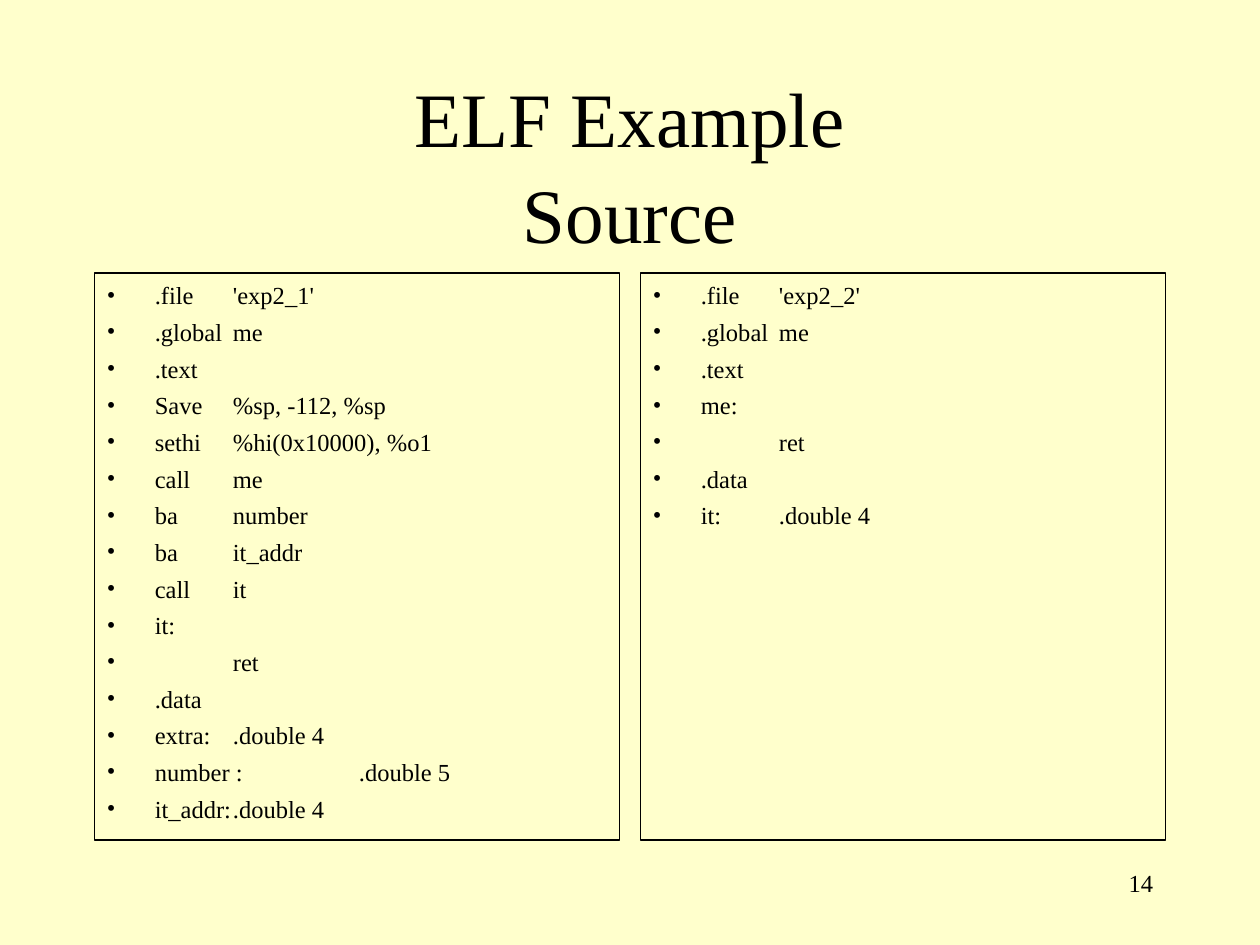
from lxml import etree
from pptx import Presentation
from pptx import util as u
from pptx.dml.color import RGBColor
from pptx.enum import shapes, text
from pptx.oxml.ns import qn

COLORS = {"background": "FFFFCC", "ink": "000000"}
FONT = "Times New Roman"
CELL = u.Inches(1) // 12  # the slide is a grid of 120 columns by 90 rows
MARGIN, COLUMN, GUTTER = 9, 50, 2
LINE_SPACING = 1.04

LISTINGS = [
    [".file\t'exp2_1'", ".global\tme", ".text", "Save\t%sp, -112, %sp",
     "sethi\t%hi(0x10000), %o1", "call\tme", "ba\tnumber", "ba\tit_addr",
     "call\tit", "it:", "\tret", ".data", "extra:\t.double 4",
     "number :\t.double 5", "it_addr:\t.double 4"],
    [".file\t'exp2_2'", ".global\tme", ".text", "me:", "\tret", ".data",
     "it:\t.double 4"],
]


def rgb(name):
    return RGBColor.from_string(COLORS[name])


def on_grid(box):
    return [CELL * n for n in box]


def style(p, size, align):
    p.alignment = align
    for r in p.runs:
        r.font.size = u.Pt(size)
        r.font.name = FONT
        r.font.color.rgb = rgb("ink")


def add_label(slide, box, label, size, align, anchor):
    tf = slide.shapes.add_textbox(*on_grid(box)).text_frame
    tf.word_wrap = True
    tf.vertical_anchor = anchor
    p = tf.paragraphs[0]
    p.text = label
    p.line_spacing = LINE_SPACING
    style(p, size, align)


def add_bullet_and_tabs(p):
    """Give a paragraph a hanging bullet and a tab stop at every inch."""
    pPr = p._p.get_or_add_pPr()
    indent = u.Inches(0.38)
    pPr.set("marL", str(indent))
    pPr.set("indent", str(-indent))
    color = etree.SubElement(pPr, qn("a:buClr"))
    etree.SubElement(color, qn("a:srgbClr"), val=COLORS["ink"])
    etree.SubElement(pPr, qn("a:buFont"), typeface=FONT)
    etree.SubElement(pPr, qn("a:buChar"), char="•")
    tabs = etree.SubElement(pPr, qn("a:tabLst"))
    for inch in range(1, 9):
        etree.SubElement(tabs, qn("a:tab"), pos=str(u.Inches(inch)), algn="l")


def add_listing(slide, box, lines):
    sp = slide.shapes.add_shape(shapes.MSO_SHAPE.RECTANGLE, *on_grid(box))
    sp.shadow.inherit = False
    sp.fill.background()
    sp.line.color.rgb = rgb("ink")
    sp.line.width = u.Pt(0.75)
    tf = sp.text_frame
    tf.word_wrap = True
    tf.vertical_anchor = text.MSO_ANCHOR.TOP
    tf.text = "\n".join(lines)
    for p in tf.paragraphs:
        style(p, 14, text.PP_ALIGN.LEFT)
        p.line_spacing = LINE_SPACING
        p.space_before = u.Pt(3.5)
        add_bullet_and_tabs(p)


def main():
    prs = Presentation()
    prs.slide_width, prs.slide_height = CELL * 120, CELL * 90
    slide = prs.slides.add_slide(prs.slide_layouts[6])
    fill = slide.background.fill
    fill.solid()
    fill.fore_color.rgb = rgb("background")

    add_label(slide, (MARGIN, 8, 2 * COLUMN + GUTTER, 15),
              "ELF Example\vSource", 44,
              text.PP_ALIGN.CENTER, text.MSO_ANCHOR.MIDDLE)
    for i, lines in enumerate(LISTINGS):
        left = MARGIN + i * (COLUMN + GUTTER)
        add_listing(slide, (left, 26, COLUMN, 54), lines)
    add_label(slide, (86, 82, 25, 6), "14", 14,
              text.PP_ALIGN.RIGHT, text.MSO_ANCHOR.TOP)
    prs.save("out.pptx")


if __name__ == "__main__":
    main()
